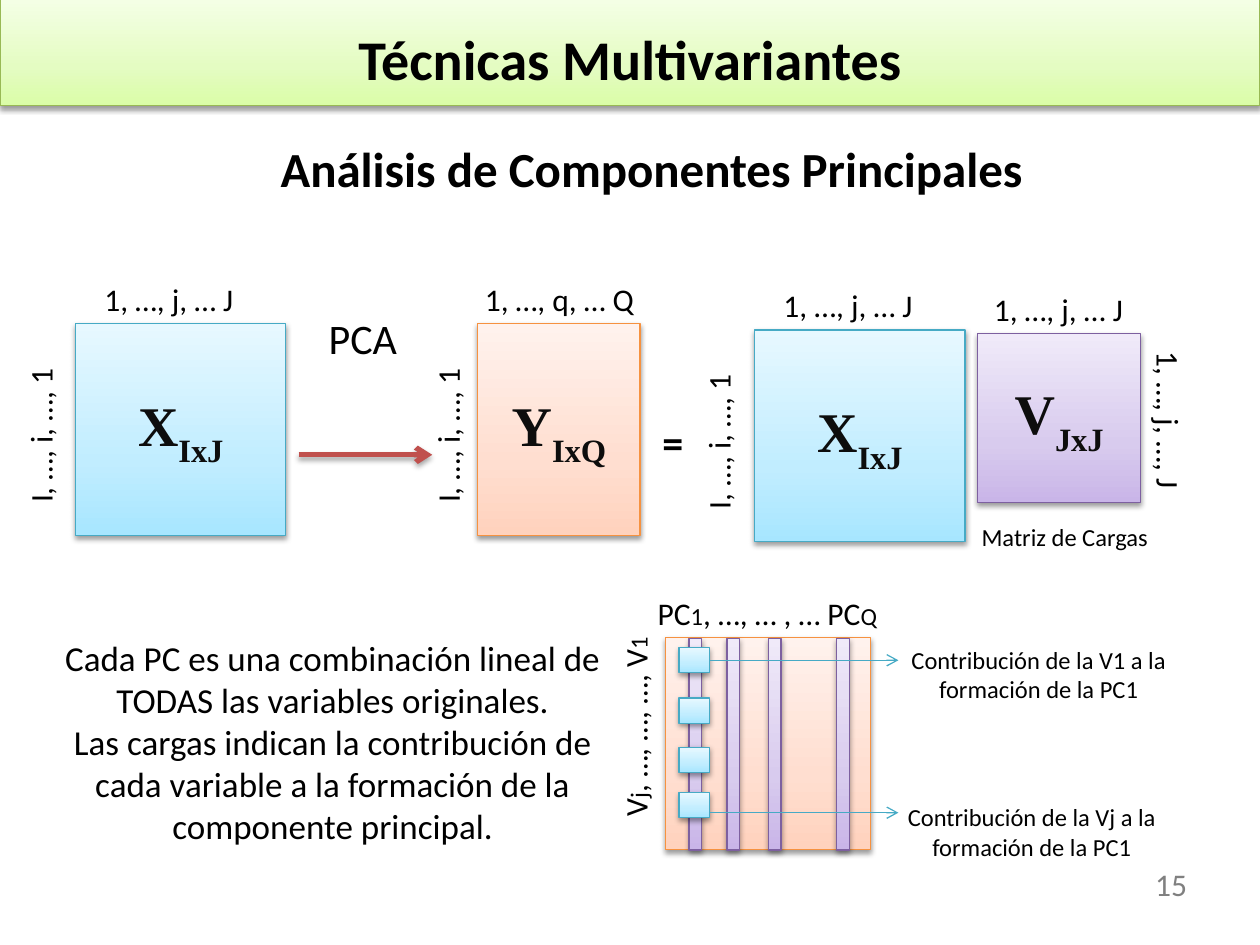
from pptx import Presentation
from pptx.dml.color import RGBColor as RGB
from pptx.enum.shapes import MSO_CONNECTOR as CONNECTOR, MSO_SHAPE as SHAPE
from pptx.enum.text import MSO_ANCHOR as ANCHOR, MSO_AUTO_SIZE as AUTO, PP_ALIGN as ALIGN
from pptx.oxml import parse_xml
from pptx.oxml.ns import nsdecls
from pptx.util import Pt

COLORS = {"text": "000000", "symbol": "0D0D0D", "number": "808080", "pca": "C0504D", "link": "46AAC5"}
# gradient stops at 0, 35 and 100 %, then the outline
THEMES = {
    "blue": ("A7E6FF", "C1EDFF", "E7F8FF", "46AAC5"),
    "orange": ("FFD2BD", "FFDED0", "FFF2ED", "F69240"),
    "purple": ("C9B5E8", "D8CBEE", "F0EAF9", "7D60A0"),
    "green": ("DAFDA7", "E4FCC2", "F5FFE7", "98B955"),
}
BODY, SERIF = "Calibri", "Times New Roman"

TITLE = "Técnicas Multivariantes"
SUBTITLE = "Análisis de Componentes Principales "
EXPLANATION = [
    "Cada PC es una combinación lineal de TODAS las variables originales.",
    "Las cargas indican la contribución de cada variable a la formación de la componente principal.",
]
ROWS_UP, ROWS_DOWN = "I, …, i, …, 1", "1, …, j, …, J"
# symbol, subscript, theme, box, column label and its x offset, row label, its x offset and direction
MATRICES = [
    ("X", "IxJ", "blue", (43.2, 185, 120.2, 121), "1, …, j, … J", -21.6, ROWS_UP, -34.6, "vert270"),
    ("Y", "IxQ", "orange", (272.9, 185, 92.9, 121), "1, …, q, … Q", -28.1, ROWS_UP, -31.7, "vert270"),
    ("X", "IxJ", "blue", (431.3, 188.6, 120.2, 121), "1, …, j, … J", -21.6, ROWS_UP, -35.3, "vert270"),
    ("V", "JxJ", "purple", (558.7, 190.8, 92.9, 96.5), "1, …, j, … J", -28.8, ROWS_DOWN, 87.1, "vert"),
]
COMPONENTS = [("PC", 18), ("1", 14), (", …, … , … PC", 18), ("Q", 14)]
VARIABLES = [("V", 18), ("j", 14), (", …, …, …, V", 18), ("1", 14)]
LOADINGS = (380.2, 364.3, 117.4, 121)
BAR_LEFTS = [393.8, 415.4, 439.2, 478.1]
CELL_TOPS = [370.1, 398.9, 427, 452.9]
CELL_LEFT, CELL_WIDTH, CELL_HEIGHT = 388.1, 17.3, 14.4
CONTRIBUTIONS = [
    ("Contribución de la V1 a la formación de la PC1", (487.4, 365, 212.4, 41), 377.3),
    ("Contribución de la Vj a la formación de la PC1", (490.3, 455, 198.7, 41), 464.4),
]


def place(box):
    return [Pt(value) for value in box]


def add_effects(shape, shadow=None):
    """Give the shape a downward shadow (opacity, blur, distance), or none at all."""
    effects = parse_xml(f"<a:effectLst {nsdecls('a')}/>")
    if shadow:
        opacity, blur, distance = shadow
        effects.append(parse_xml(
            f'<a:outerShdw {nsdecls("a")} blurRad="{Pt(blur)}" dist="{Pt(distance)}" dir="5400000" rotWithShape="0">'
            f'<a:srgbClr val="000000"><a:alpha val="{opacity * 1000}"/></a:srgbClr></a:outerShdw>'))
    shape._element.spPr.append(effects)


def add_panel(box, theme):
    *stops, outline = THEMES[theme]
    panel = slide.shapes.add_shape(SHAPE.RECTANGLE, *place(box))
    gradient = "".join(f'<a:gs pos="{position}000"><a:srgbClr val="{color}"/></a:gs>'
                       for position, color in zip((0, 35, 100), stops))
    panel._element.spPr.insert(2, parse_xml(
        f'<a:gradFill {nsdecls("a")} rotWithShape="1"><a:gsLst>{gradient}</a:gsLst>'
        '<a:lin ang="16200000" scaled="0"/></a:gradFill>'))
    panel.line.color.rgb = RGB.from_string(outline)
    panel.line.width = Pt(0.75)
    add_effects(panel, (38, 3.1, 1.6))
    return panel


def add_run(paragraph, text, size, color="text", name=BODY, bold=False):
    run = paragraph.add_run()
    run.text = text
    run.font.color.rgb = RGB.from_string(COLORS[color])
    for key, value in {"size": Pt(size), "name": name, "bold": bold}.items():
        setattr(run.font, key, value)
    return run


def add_label(box, paragraphs, size=18, align=ALIGN.CENTER, wrap=True, direction=None, **font):
    """Add a text box; a paragraph is a string or a list of (text, size)."""
    frame = slide.shapes.add_textbox(*place(box)).text_frame
    frame.word_wrap = wrap
    if direction:
        frame._txBody.bodyPr.set("vert", direction)
    for index, content in enumerate(paragraphs):
        paragraph = frame.add_paragraph() if index else frame.paragraphs[0]
        paragraph.alignment = align
        for text, run_size in [(content, size)] if isinstance(content, str) else content:
            add_run(paragraph, text, run_size, **font)


def add_arrow(x1, x2, y, color, width, shadow=None):
    arrow = slide.shapes.add_connector(CONNECTOR.STRAIGHT, *place((x1, y, x2, y)))
    arrow.line.color.rgb = RGB.from_string(COLORS[color])
    arrow.line.width = Pt(width)
    arrow.line._get_or_add_ln().append(parse_xml(f'<a:tailEnd {nsdecls("a")} type="arrow"/>'))
    add_effects(arrow, shadow)


def add_matrix(symbol, subscript, theme, box, columns, columns_dx, rows, rows_dx, direction):
    left, top, _, _ = box
    frame = add_panel(box, theme).text_frame
    frame.vertical_anchor = ANCHOR.MIDDLE
    paragraph = frame.paragraphs[0]
    paragraph.alignment = ALIGN.CENTER
    add_run(paragraph, symbol, 32, "symbol", SERIF, True)
    lowered = add_run(paragraph, subscript, 32, "symbol", SERIF, True)
    lowered._r.get_or_add_rPr().set("baseline", "-30000")
    add_label((left + columns_dx, top - 28.5, 149.8, 36), [columns])
    rows_dy = 15.9 if direction == "vert270" else 2.9
    add_label((left + rows_dx, top + rows_dy, 36.7, 93.6), [rows], align=ALIGN.LEFT, direction=direction)


prs = Presentation()
prs.slide_width, prs.slide_height = Pt(720), Pt(540)
slide = prs.slides.add_slide(prs.slide_layouts[5])

add_label((649.4, 491, 39.6, 28.8), ["15"], color="number")
for matrix in MATRICES:
    add_matrix(*matrix)
add_label((180.7, 175, 54, 36), ["PCA"], 24, ALIGN.LEFT, wrap=False)
add_arrow(170.6, 247, 259.9, "pca", 3, (35, 3.1, 1.8))
add_label((371.5, 234.7, 26.6, 36), ["="], 24, ALIGN.LEFT, wrap=False, bold=True)
add_label((553, 294.5, 110.9, 24.5), ["Matriz de Cargas"], 14, wrap=False)
add_label((14.4, 360, 351.4, 128.2), EXPLANATION, 20)

add_panel(LOADINGS, "orange")
add_label((363.6, 336.2, 149.8, 36), [COMPONENTS])
add_label((348.5, 354.2, 36.7, 119.5), [VARIABLES], align=ALIGN.LEFT, direction="vert270")
for bar_left in BAR_LEFTS:
    add_panel((bar_left, LOADINGS[1] + 0.5, 7.2, LOADINGS[3]), "purple")
for cell_top in CELL_TOPS:
    add_panel((CELL_LEFT, cell_top, CELL_WIDTH, CELL_HEIGHT), "blue")
for text, box, arrow_y in CONTRIBUTIONS:
    add_label(box, [text], 14)
    add_arrow(CELL_LEFT + CELL_WIDTH, 513.4, arrow_y, "link", 0.75)

add_label((150.5, 75.6, 450, 41), [SUBTITLE], 28, wrap=False, bold=True)
add_panel((0, -2.2, 720, 62.6), "green")

title = slide.shapes.title
title.left, title.top, title.width, title.height = place((139, 20.9, 442.1, 38.9))
heading = title.text_frame
for key, value in {"auto_size": AUTO.NONE, "word_wrap": True, "vertical_anchor": ANCHOR.BOTTOM,
                   "margin_left": Pt(7.2), "margin_right": Pt(7.2),
                   "margin_top": Pt(7.2), "margin_bottom": Pt(7.2)}.items():
    setattr(heading, key, value)
heading.paragraphs[0].alignment = ALIGN.CENTER
add_run(heading.paragraphs[0], TITLE, 32, bold=True)
slide.shapes._spTree.append(title._element)  # bring the title in front of the banner

prs.save("out.pptx")
